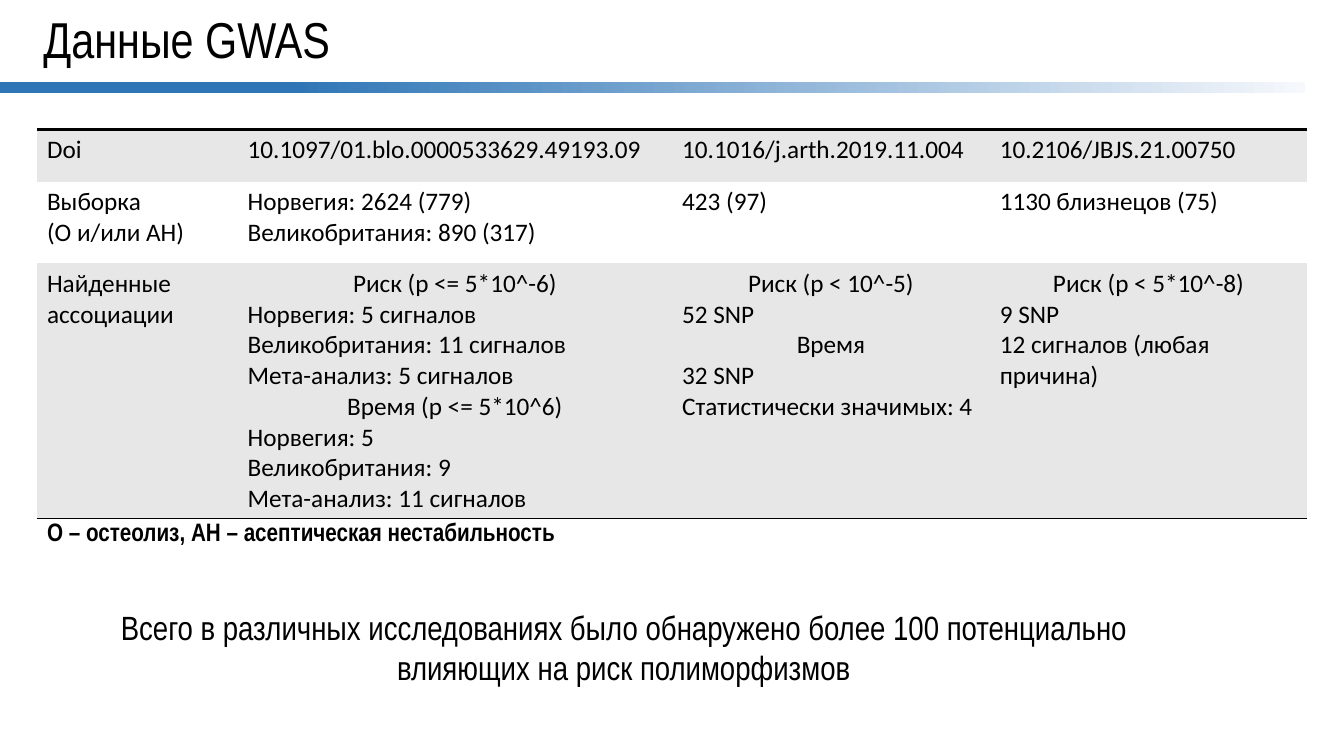
from dataclasses import dataclass

from lxml.etree import SubElement
from pptx import Presentation
from pptx.dml.color import RGBColor
from pptx.enum.shapes import MSO_SHAPE as Shape
from pptx.enum.text import MSO_ANCHOR as Anchor, MSO_AUTO_SIZE as AutoSize, PP_ALIGN as Align
from pptx.oxml.ns import qn
from pptx.util import Inches, Pt


@dataclass(frozen=True)
class Theme:
    ink: str = "000000"
    band: str = "E7E7E7"
    paper: str = "FFFFFF"
    bar_blue: str = "2E75B6"
    bar_pale: str = "F6F8FC"
    narrow: str = "Arial Narrow"
    body: str = "Calibri"
    title_size: int = 36
    summary_size: int = 24
    table_size: int = 18
    no_grid: str = "{2D5ABB26-0587-4C30-8999-92F81FD0307C}"


THEME = Theme()
WIDTH, HEIGHT = Inches(13.33), Inches(7.5)
COLUMNS = [1.99, 4.31, 3.15, 3.15]
ROWS = [0.52, 0.81, 2.53, 0.31]
CENTERED = ("Риск", "Время")

STUDIES = [
    ["Doi", "10.1097/01.blo.0000533629.49193.09",
     "10.1016/j.arth.2019.11.004", "10.2106/JBJS.21.00750"],
    ["Выборка\n(О и/или АН)",
     "Норвегия: 2624 (779)\nВеликобритания: 890 (317)",
     "423 (97)", "1130 близнецов (75)"],
    ["Найденные ассоциации",
     "Риск (p <= 5*10^-6)\nНорвегия: 5 сигналов\nВеликобритания: 11 сигналов\n"
     "Мета-анализ: 5 сигналов\nВремя (p <= 5*10^6)\nНорвегия: 5\n"
     "Великобритания: 9\nМета-анализ: 11 сигналов",
     "Риск (p < 10^-5)\n52 SNP\nВремя\n32 SNP\nСтатистически значимых: 4",
     "Риск (p < 5*10^-8)\n9 SNP\n12 сигналов (любая причина)"],
]
ABBREVIATIONS = "О – остеолиз, АН – асептическая нестабильность"
SUMMARY = ("Всего в различных исследованиях было обнаружено более 100 потенциально\n"
           "влияющих на риск полиморфизмов")


def color(code):
    return RGBColor.from_string(code)


def area(left, top, width, height):
    return int(WIDTH * left), int(HEIGHT * top), int(WIDTH * width), int(HEIGHT * height)


def write(frame, text, font, size, bold=False):
    frame.text = text
    for paragraph in frame.paragraphs:
        paragraph.font.name = font
        paragraph.font.size = Pt(size)
        paragraph.font.bold = bold
        paragraph.font.color.rgb = color(THEME.ink)


def add_text(slide, place, text, size):
    frame = slide.shapes.add_textbox(*place).text_frame
    write(frame, text, THEME.narrow, size)
    return frame


def add_title(slide, text):
    frame = add_text(slide, area(0.025, 0, 0.946, 0.112), text, THEME.title_size)
    frame.word_wrap = True
    frame.vertical_anchor = Anchor.MIDDLE
    frame.paragraphs[0].line_spacing = 0.9


def add_title_bar(slide):
    bar = slide.shapes.add_shape(Shape.RECTANGLE, *area(0, 0.108, 0.971, 0.0155))
    bar.shadow.inherit = False
    bar.line.fill.background()
    bar.fill.gradient()
    bar.fill.gradient_angle = 180
    stops = zip(bar.fill.gradient_stops, (THEME.bar_pale, THEME.bar_blue), (0, 0.78))
    for stop, code, position in stops:
        stop.color.rgb = color(code)
        stop.position = position


def add_rule(cell, side, points):
    properties = cell._tc.get_or_add_tcPr()
    rule = SubElement(properties, qn(f"a:ln{side}"), w=str(Pt(points)))
    properties.insert(0, rule)
    paint = SubElement(rule, qn("a:solidFill"))
    SubElement(paint, qn("a:srgbClr"), val=THEME.ink)


def fill_cell(cell, text, background, font=THEME.body, bold=False):
    cell.fill.solid()
    cell.fill.fore_color.rgb = color(background)
    write(cell.text_frame, text, font, THEME.table_size, bold)
    for paragraph in cell.text_frame.paragraphs:
        if paragraph.text.startswith(CENTERED):
            paragraph.alignment = Align.CENTER


def add_studies(slide):
    place = area(0.0275, 0.171, 0.945, 0.556)
    frame = slide.shapes.add_table(len(ROWS), len(COLUMNS), *place)
    table = frame.table
    table.first_row = table.horz_banding = False
    table._tbl.tblPr.find(qn("a:tableStyleId")).text = THEME.no_grid
    for column, width in zip(table.columns, COLUMNS):
        column.width = Inches(width)
    for row, height in zip(table.rows, ROWS):
        row.height = Inches(height)

    for row, texts in enumerate(STUDIES):
        for column, text in enumerate(texts):
            fill_cell(table.cell(row, column), text, THEME.paper if row % 2 else THEME.band)

    last = len(ROWS) - 1
    for column in range(len(COLUMNS)):
        add_rule(table.cell(0, column), "T", 2)
        add_rule(table.cell(last - 1, column), "B", 1)
        add_rule(table.cell(last, column), "T", 1)
    footnote = table.cell(last, 0)
    footnote.merge(table.cell(last, len(COLUMNS) - 1))
    fill_cell(footnote, ABBREVIATIONS, THEME.paper, THEME.narrow, bold=True)


def add_summary(slide):
    frame = add_text(slide, area(0.0825, 0.796, 0.809, 0.121), SUMMARY, THEME.summary_size)
    frame.word_wrap = False
    frame.auto_size = AutoSize.SHAPE_TO_FIT_TEXT
    frame.paragraphs[-1].alignment = Align.CENTER


def main():
    deck = Presentation()
    deck.slide_width, deck.slide_height = WIDTH, HEIGHT
    slide = deck.slides.add_slide(deck.slide_layouts[6])
    add_title_bar(slide)
    add_title(slide, "Данные GWAS")
    add_studies(slide)
    add_summary(slide)
    deck.save("out.pptx")


if __name__ == "__main__":
    main()
